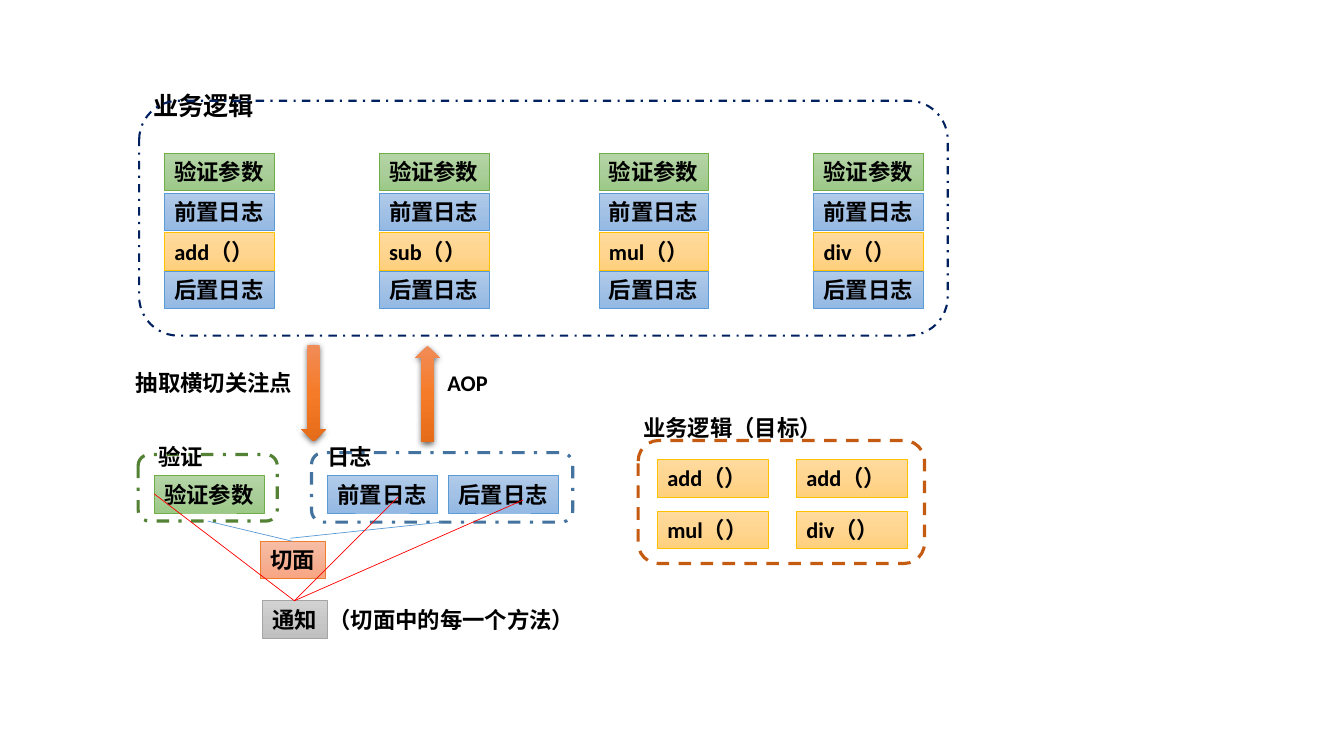
import copy
import lxml.etree
import pptx
import pptx.dml.color
import pptx.enum.dml
import pptx.enum.shapes
import pptx.enum.text
import pptx.oxml
import pptx.oxml.ns
import pptx.util

Inches = pptx.util.Inches
Kind = pptx.enum.shapes.MSO_SHAPE
Dash = pptx.enum.dml.MSO_LINE
TEXT = "000000"
GREEN = (("B5D5A7", "AACE9A", "9CC987"), "70AD47")
BLUE = (("B1CBE9", "A3C1E5", "93B9E4"), "5B9BD5")
GOLD = (("FFDB9E", "FFD590", "FFD07C"), "FFC000")
CORAL = (("F7BDA5", "F5B196", "F8A582"), "ED7D31")
GREY = (("D2D2D2", "C8C8C8", "C0C0C0"), "A5A5A5")
ORANGE = ("F18C57", "F67B28", "E56C19")
SHADE = (
    '<a:effectLst %s><a:outerShdw blurRad="57150" dist="19050" dir="5400000" '
    'algn="ctr" rotWithShape="0"><a:srgbClr val="000000"><a:alpha val="63000"/>'
    "</a:srgbClr></a:outerShdw></a:effectLst>" % pptx.oxml.ns.nsdecls("a")
)


def color(code):
    return pptx.dml.color.RGBColor.from_string(code)


def apply(target, values):
    for name, value in values.items():
        setattr(target, name, value)


def write(shape, text, size=16):
    frame = shape.text_frame
    apply(frame, {
        "text": text,
        "word_wrap": False,
        "auto_size": pptx.enum.text.MSO_AUTO_SIZE.SHAPE_TO_FIT_TEXT,
        "vertical_anchor": pptx.enum.text.MSO_ANCHOR.TOP,
    })
    line = frame.paragraphs[0]
    line.alignment = pptx.enum.text.PP_ALIGN.LEFT
    font = line.runs[0].font
    apply(font, {"name": "Calibri", "size": pptx.util.Pt(size), "bold": True})
    font.color.rgb = color(TEXT)


def blend(shape, codes):
    fill = shape.fill
    fill.gradient()
    fill.gradient_angle = 270
    first = shape._element.spPr.find(".//" + pptx.oxml.ns.qn("a:gs"))
    first.addnext(copy.deepcopy(first))
    for stop, code, place in zip(fill.gradient_stops, codes, (0, 0.5, 1)):
        stop.color.rgb = color(code)
        stop.position = place


def stroke(shape, code, width):
    shape.line.color.rgb = color(code)
    shape.line.width = pptx.util.Pt(width)


def draw(shapes, kind, area):
    shape = shapes.add_shape(kind, *map(Inches, area))
    shape.shadow.inherit = False
    return shape


def box(shapes, left, top, text, style, width=1.09):
    shape = draw(shapes, Kind.RECTANGLE, (left, top, width, 0.37))
    blend(shape, style[0])
    stroke(shape, style[1], 0.5)
    write(shape, text)


def frame(shapes, area, code, width, dash):
    shape = draw(shapes, Kind.ROUNDED_RECTANGLE, area)
    shape.fill.background()
    stroke(shape, code, width)
    shape.line.dash_style = dash


def label(shapes, left, top, width, text):
    area = map(Inches, (left, top, width, 0.37))
    write(shapes.add_textbox(*area), text)


def arrow(shapes, kind, left, top):
    shape = draw(shapes, kind, (left, top, 0.24, 0.96))
    blend(shape, ORANGE)
    shape.line.fill.background()
    props = shape._element.spPr
    props.remove(props.find(pptx.oxml.ns.qn("a:effectLst")))
    props.append(pptx.oxml.parse_xml(SHADE))


def link(shapes, start, end, code):
    ends = map(Inches, start + end)
    line = shapes.add_connector(pptx.enum.shapes.MSO_CONNECTOR.STRAIGHT, *ends)
    stroke(line, code, 0.5)
    lxml.etree.SubElement(line._element.spPr, pptx.oxml.ns.qn("a:effectLst"))


def head(shapes):
    title = shapes.title
    names = ("left", "top", "width", "height")
    apply(title, dict(zip(names, map(Inches, (1.42, 0.85, 1.21, 0.4)))))
    write(title, "业务逻辑", 18)


def stack(shapes, left, method):
    group = shapes.add_group_shape().shapes
    rows = (
        (1.52, "验证参数", GREEN),
        (1.92, "前置日志", BLUE),
        (2.31, method, GOLD),
        (2.69, "后置日志", BLUE),
    )
    for top, text, style in rows:
        box(group, left, top, text, style)


def logic(shapes):
    head(shapes)
    methods = ("add（）", "sub（）", "mul（）", "div（）")
    for left, method in zip((1.63, 3.76, 5.94, 8.07), methods):
        stack(shapes, left, method)
    frame(shapes, (1.38, 1, 8.02, 2.33), "002060", 1.5, Dash.DASH_DOT)


def target(shapes):
    methods = ("add（）", "add（）", "mul（）", "div（）")
    for index, method in enumerate(methods):
        row, col = divmod(index, 2)
        box(shapes, 6.52 + 1.38 * col, 4.56 + 0.51 * row, method, GOLD, 1.1)
    label(shapes, 6.28, 4.06, 1.99, "业务逻辑（目标）")
    frame(shapes, (6.33, 4.37, 2.84, 1.22), "C55A11", 2.25, Dash.DASH)


def concerns(shapes):
    frame(shapes, (1.37, 4.51, 1.38, 0.66), "548235", 2.25, Dash.DASH_DOT)
    frame(shapes, (3.09, 4.49, 2.59, 0.69), "43739E", 2.25, Dash.DASH_DOT)
    box(shapes, 1.53, 4.72, "验证参数", GREEN)
    box(shapes, 3.25, 4.72, "前置日志", BLUE)
    box(shapes, 4.45, 4.72, "后置日志", BLUE)
    label(shapes, 1.47, 4.35, 0.65, "验证")
    label(shapes, 3.15, 4.35, 0.65, "日志")


def flow(shapes):
    label(shapes, 1.25, 3.61, 1.77, "抽取横切关注点")
    arrow(shapes, Kind.DOWN_ARROW, 2.99, 3.42)
    arrow(shapes, Kind.UP_ARROW, 4.12, 3.43)
    label(shapes, 4.34, 3.61, 0.6, "AOP")


def aspect(shapes):
    box(shapes, 2.58, 5.37, "切面", CORAL, 0.65)
    link(shapes, (2.9, 5.37), (2.06, 5.17), BLUE[1])
    link(shapes, (2.88, 5.34), (4.38, 5.18), BLUE[1])
    box(shapes, 2.6, 5.96, "通知", GREY, 0.65)
    for end in ((1.53, 4.9), (3.95, 4.93), (5.19, 4.96)):
        link(shapes, (2.92, 5.96), end, "FF0000")
    label(shapes, 3.16, 5.96, 2.66, "（切面中的每一个方法）")


def main():
    deck = pptx.Presentation()
    apply(deck, {"slide_width": Inches(13.33), "slide_height": Inches(7.5)})
    shapes = deck.slides.add_slide(deck.slide_layouts[5]).shapes
    for part in (logic, concerns, target, flow, aspect):
        part(shapes)
    deck.save("out.pptx")


if __name__ == "__main__":
    main()
